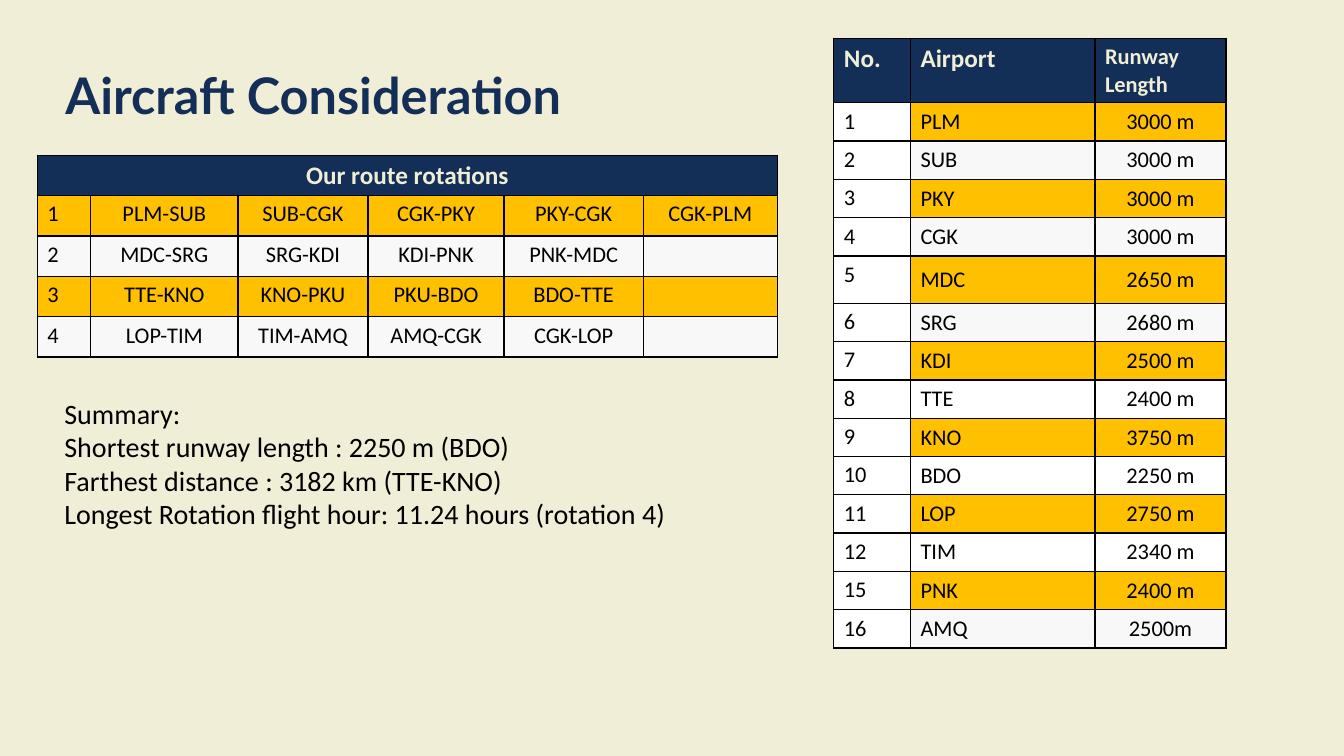
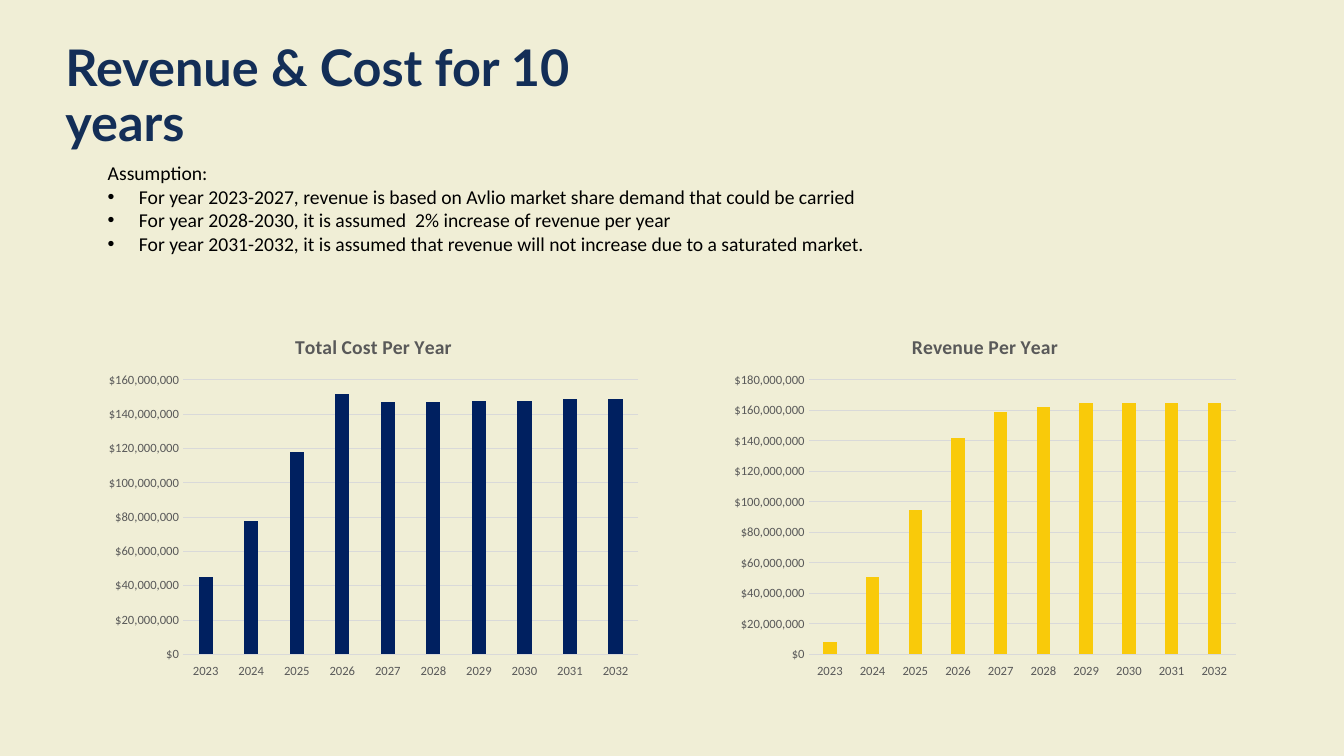
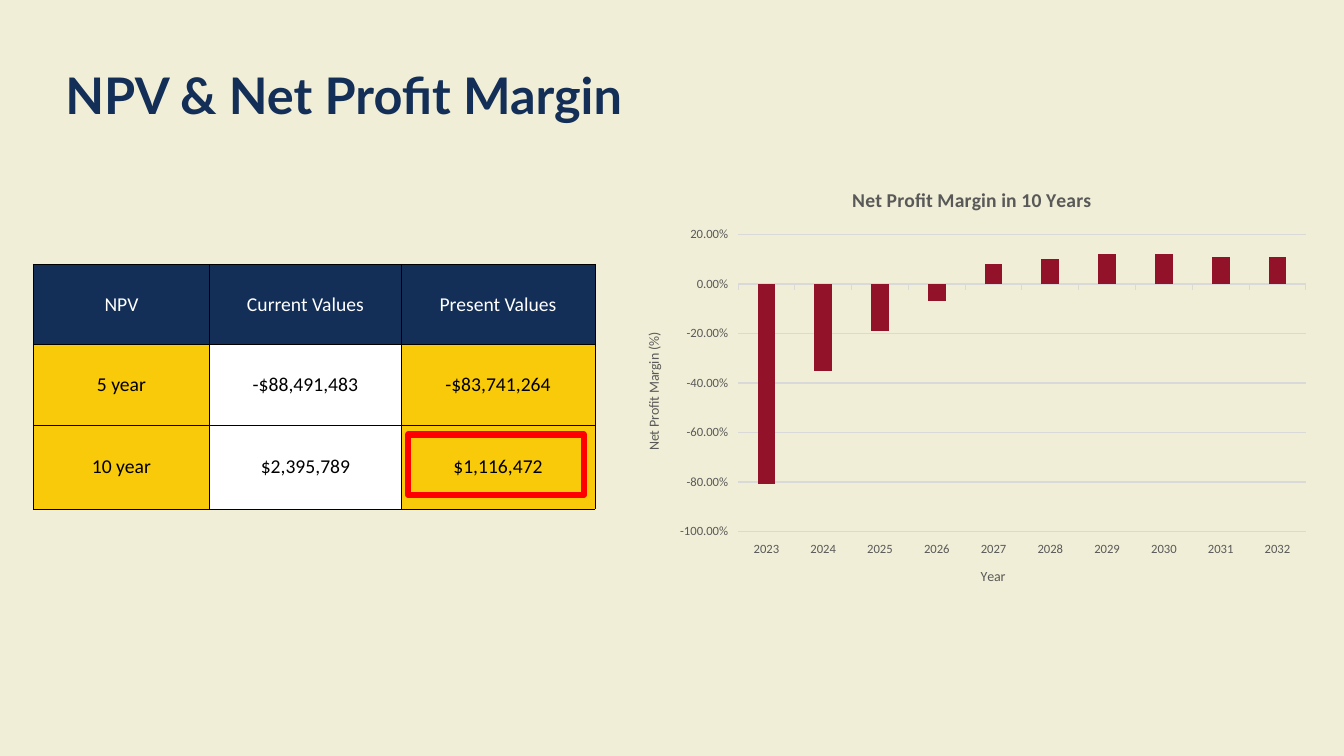
from lxml import etree
from pptx import Presentation
from pptx.chart.data import CategoryChartData
from pptx.dml.color import RGBColor
from pptx.enum.chart import XL_CHART_TYPE, XL_TICK_LABEL_POSITION, XL_TICK_MARK
from pptx.enum.shapes import MSO_SHAPE
from pptx.enum.text import MSO_ANCHOR, PP_ALIGN
from pptx.oxml.ns import qn
from pptx.util import Inches, Pt

# Shared look
NAVY, CREAM, BLACK, WHITE = "132E57", "F0EED6", "000000", "FFFFFF"
AMBER, PALE, YELLOW = "FFC000", "F8F8F8", "F9CA0A"
GREY, GRID, RED = "595959", "D9D9D9", "FF0000"
BODY_FONT, TITLE_FONT = "Calibri", "Lato"

# Content: aircraft
ROUTES = [
    ["Our route rotations", "", "", "", "", ""],
    ["1", "PLM-SUB", "SUB-CGK", "CGK-PKY", "PKY-CGK", "CGK-PLM"],
    ["2", "MDC-SRG", "SRG-KDI", "KDI-PNK", "PNK-MDC", ""],
    ["3", "TTE-KNO", "KNO-PKU", "PKU-BDO", "BDO-TTE", ""],
    ["4", "LOP-TIM", "TIM-AMQ", "AMQ-CGK", "CGK-LOP", ""],
]
AIRPORTS = [
    ["No.", "Airport", "Runway Length"],
    ["1", "PLM", "3000 m"], ["2", "SUB", "3000 m"], ["3", "PKY", "3000 m"],
    ["4", "CGK", "3000 m"], ["5", "MDC", "2650 m"], ["6", "SRG", "2680 m"],
    ["7", "KDI", "2500 m"], ["8", "TTE", "2400 m"], ["9", "KNO", "3750 m"],
    ["10", "BDO", "2250 m"], ["11", "LOP", "2750 m"], ["12", "TIM", "2340 m"],
    ["15", "PNK", "2400 m"], ["16", "AMQ", "2500m"],
]
SUMMARY = [
    "Summary:",
    "Shortest runway length : 2250 m (BDO)",
    "Farthest distance : 3182 km (TTE-KNO)",
    "Longest Rotation flight hour: 11.24 hours (rotation 4)",
]

# Content: finance
ASSUMPTIONS = [
    "Assumption:",
    "For year 2023-2027, revenue is based on Avlio market share demand that could be carried",
    "For year 2028-2030, it is assumed  2% increase of revenue per year",
    "For year 2031-2032, it is assumed that revenue will not increase due to a saturated market.",
]
YEARS = [str(year) for year in range(2023, 2033)]
COST_MILLIONS = [45, 78, 118, 152, 147, 147, 148, 148, 149, 149]
REVENUE_MILLIONS = [8, 51, 95, 142, 159, 162, 165, 165, 165, 165]
MARGINS = [-0.81, -0.35, -0.19, -0.07, 0.08, 0.1, 0.12, 0.12, 0.11, 0.11]
NPV = [
    ["NPV", "Current Values", "Present Values"],
    ["5 year", "-$88,491,483", "-$83,741,264"],
    ["10 year", "$2,395,789", "$1,116,472"],
]


def rgb(value):
    return RGBColor.from_string(value)


def set_font(font, size, color, bold=False, name=BODY_FONT):
    font.name, font.size, font.bold = name, Pt(size), bold
    font.color.rgb = rgb(color)


def add_page(deck, title, title_width=6.38):
    page = deck.slides.add_slide(deck.slide_layouts[6])
    page.background.fill.solid()
    page.background.fill.fore_color.rgb = rgb(CREAM)
    box = page.shapes.add_textbox(Inches(0.55), Inches(0.64), Inches(title_width), Inches(0.66))
    frame = box.text_frame
    frame.word_wrap, frame.vertical_anchor = True, MSO_ANCHOR.MIDDLE
    frame.text = title
    frame.paragraphs[0].line_spacing = 0.9
    set_font(frame.paragraphs[0].runs[0].font, 36, NAVY, True, TITLE_FONT)
    return page


def add_lines(page, place, lines, size, bulleted=False):
    box = page.shapes.add_textbox(*map(Inches, place))
    frame = box.text_frame
    frame.word_wrap = True
    frame.text = "\n".join(lines)
    for index, para in enumerate(frame.paragraphs):
        if bulleted and index:
            props = para._p.get_or_add_pPr()
            props.set("marL", str(Inches(0.31)))
            props.set("indent", str(-Inches(0.31)))
            etree.SubElement(props, qn("a:buFont")).set("typeface", "Arial")
            etree.SubElement(props, qn("a:buChar")).set("char", "•")
        set_font(para.runs[0].font, size, BLACK)


def set_borders(cell, width):
    props = cell._tc.get_or_add_tcPr()
    for index, side in enumerate(("a:lnL", "a:lnR", "a:lnT", "a:lnB")):
        line = etree.Element(qn(side), w=str(Pt(width)))
        fill = etree.SubElement(line, qn("a:solidFill"))
        etree.SubElement(fill, qn("a:srgbClr")).set("val", BLACK)
        props.insert(index, line)


def add_grid(page, left, top, widths, heights, rows, style, border):
    """style(row, column) gives fill, size, colour, bold, centred, middle."""
    frame = page.shapes.add_table(len(rows), len(widths), Inches(left), Inches(top),
                                  Inches(sum(widths)), Inches(sum(heights)))
    table = frame.table
    table.first_row = table.horz_banding = False
    for column, width in zip(table.columns, widths):
        column.width = Inches(width)
    for row, height in zip(table.rows, heights):
        row.height = Inches(height)
    for r, values in enumerate(rows):
        for c, value in enumerate(values):
            fill, size, color, bold, centred, middle = style(r, c)
            cell = table.cell(r, c)
            cell.fill.solid()
            cell.fill.fore_color.rgb = rgb(fill)
            set_borders(cell, border)
            cell.vertical_anchor = MSO_ANCHOR.MIDDLE if middle else MSO_ANCHOR.TOP
            if value:
                cell.text_frame.text = value
                para = cell.text_frame.paragraphs[0]
                para.alignment = PP_ALIGN.CENTER if centred else PP_ALIGN.LEFT
                set_font(para.runs[0].font, size, color, bold)
    return table


def route_style(r, c):
    if r == 0:
        return NAVY, 18, CREAM, True, True, False
    return (AMBER if r % 2 else PALE), 16, BLACK, False, c > 0, False


def airport_style(r, c):
    if r == 0:
        return NAVY, (16 if c == 2 else 18), CREAM, True, False, c == 2
    if c == 0:
        fill = WHITE
    elif r % 2:
        fill = AMBER
    else:
        fill = WHITE if r in (8, 10, 12) else PALE
    return fill, 16, BLACK, False, c == 2, c > 0


def npv_style(r, c):
    if r == 0:
        return NAVY, 14, WHITE, False, True, True
    return (WHITE if c == 1 else YELLOW), 14, BLACK, False, True, True


def set_title(owner, text, size, bold):
    frame = (owner.chart_title if hasattr(owner, "chart_title") else owner.axis_title).text_frame
    frame.text = text
    set_font(frame.paragraphs[0].runs[0].font, size, GREY, bold)


def add_columns(page, place, title, values, color, scale, number_format,
                tick=XL_TICK_MARK.NONE, axis_titles=None):
    data = CategoryChartData()
    data.categories = YEARS
    data.add_series("Series 1", values)
    chart = page.shapes.add_chart(XL_CHART_TYPE.COLUMN_CLUSTERED, *map(Inches, place), data).chart
    set_font(chart.font, 10, BLACK)
    chart.has_legend = False
    set_title(chart, title, 14, True)
    chart.chart_title.include_in_layout = False

    plot = chart.plots[0]
    plot.gap_width, plot.overlap, plot.vary_by_categories = 219, -27, False
    series = plot.series[0]
    series.invert_if_negative = False
    series.format.fill.solid()
    series.format.fill.fore_color.rgb = rgb(color)

    years, amounts = chart.category_axis, chart.value_axis
    for axis in (years, amounts):
        axis.major_tick_mark, axis.minor_tick_mark = tick, XL_TICK_MARK.NONE
        set_font(axis.tick_labels.font, 9, GREY)
    years.tick_label_position = XL_TICK_LABEL_POSITION.LOW
    amounts.minimum_scale, amounts.maximum_scale, amounts.major_unit = scale
    amounts.tick_labels.number_format = number_format
    amounts.tick_labels.number_format_is_linked = False
    amounts.format.line.fill.background()
    amounts.has_major_gridlines = True
    for line in (years.format.line, amounts.major_gridlines.format.line):
        line.color.rgb, line.width = rgb(GRID), Pt(0.75)
    for axis, text in zip((years, amounts), axis_titles or ()):
        set_title(axis, text, 10, False)


def build_aircraft(deck):
    page = add_page(deck, "Aircraft Consideration", 7.5)
    routes = add_grid(page, 0.37, 1.54, [0.53, 1.46, 1.29, 1.35, 1.38, 1.33],
                      [0.4] * len(ROUTES), ROUTES, route_style, 1)
    routes.cell(0, 0).merge(routes.cell(0, 5))
    heights = [0.64] + [0.47 if row[0] == "5" else 0.38 for row in AIRPORTS[1:]]
    add_grid(page, 8.27, 0.38, [0.76, 1.83, 1.3], heights, AIRPORTS, airport_style, 1)
    add_lines(page, (0.54, 3.88, 7.09, 1.78), SUMMARY, 20)


def build_revenue(deck):
    page = add_page(deck, "Revenue & Cost for 10 years")
    million = 1_000_000
    for left, width, title, amounts, color, top_value in (
        (0.97, 5.47, "Total Cost Per Year", COST_MILLIONS, "002060", 160),
        (7.18, 5.18, "Revenue Per Year", REVENUE_MILLIONS, YELLOW, 180),
    ):
        add_columns(page, (left, 3.14, width, 3.67), title,
                    [amount * million for amount in amounts], color,
                    (0, top_value * million, 20 * million), '"$"#,##0')
    add_lines(page, (0.97, 1.55, 8.88, 1.04), ASSUMPTIONS, 14, bulleted=True)


def build_margin(deck):
    page = add_page(deck, "NPV & Net Profit Margin")
    add_columns(page, (6.19, 1.67, 6.9, 4.34), "Net Profit Margin in 10 Years", MARGINS,
                "921229", (-1, 0.2, 0.2), "0.00%", XL_TICK_MARK.OUTSIDE,
                ("Year", "Net Profit Margin (%)"))
    table = add_grid(page, 0.33, 2.62, [1.75, 1.9, 1.92], [0.8, 0.8, 0.83], NPV, npv_style, 0.5)
    for cell in table.iter_cells():
        cell.margin_left = cell.margin_right = cell.margin_top = cell.margin_bottom = 0
    # Frame around the ten-year present value
    frame = page.shapes.add_shape(MSO_SHAPE.RECTANGLE, Inches(4.05), Inches(4.31),
                                  Inches(1.74), Inches(0.6))
    frame.shadow.inherit = False
    frame.fill.background()
    frame.line.color.rgb, frame.line.width = rgb(RED), Pt(4.5)


def main():
    deck = Presentation()
    deck.slide_width, deck.slide_height = Inches(13.33), Inches(7.5)
    build_aircraft(deck)
    build_revenue(deck)
    build_margin(deck)
    deck.save("out.pptx")


if __name__ == "__main__":
    main()
